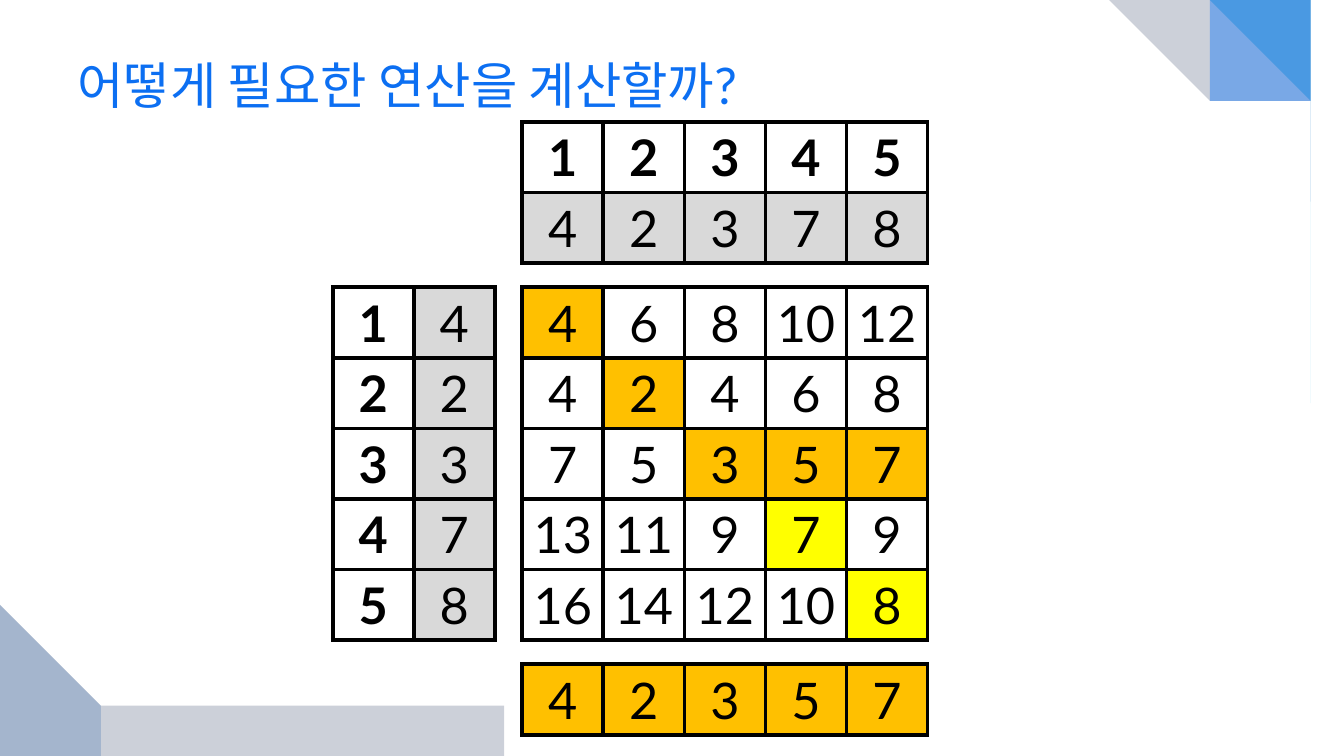
from lxml import etree
from pptx import Presentation
from pptx.dml.color import RGBColor
from pptx.enum.text import MSO_ANCHOR, PP_ALIGN
from pptx.oxml.ns import qn
from pptx.util import Inches, Pt

CENTER, MIDDLE = PP_ALIGN.CENTER, MSO_ANCHOR.MIDDLE
FONT = "Lato"
TITLE = "어떻게 필요한 연산을 계산할까?"
COLUMN_WIDTH, ROW_HEIGHT = 0.804, 0.7

STYLES = {
    "i": ("FFFFFF", True),
    "g": ("D9D9D9", False),
    "w": ("FFFFFF", False),
    "o": ("FFC000", False),
    "y": ("FFFF00", False),
}

INDEX = [1, 2, 3, 4, 5]
VALUES = [4, 2, 3, 7, 8]
COSTS = [
    [4, 6, 8, 10, 12],
    [4, 2, 4, 6, 8],
    [7, 5, 3, 5, 7],
    [13, 11, 9, 7, 9],
    [16, 14, 12, 10, 8],
]
MINIMUMS = [4, 2, 3, 5, 7]

TABLES = [
    (3.3, 2.85, list(zip(INDEX, VALUES)), ["ig"] * 5),
    (5.18, 1.21, [INDEX, VALUES], ["iiiii", "ggggg"]),
    (5.18, 2.85, COSTS, ["owwww", "wowww", "wwooo", "wwwyw", "wwwwy"]),
    (5.18, 6.59, [MINIMUMS], ["ooooo"]),
]

WAVES = [
    ("00B1E9", 45, [
        (13.33, 4.08), (13.33, 0), (11.89, 0), (11.98, 0.05), (12.1, 0.14),
        (12.2, 0.23), (12.31, 0.35), (12.43, 0.5), (12.53, 0.64),
        (12.63, 0.81), (12.72, 1), (12.82, 1.21), (12.91, 1.46),
        (13, 1.73), (13.08, 2.03), (13.15, 2.37), (13.21, 2.74),
        (13.27, 3.15), (13.31, 3.6)]),
    ("021741", 20, [
        (8.89, 0), (13.33, 0), (13.33, 2.15), (13.28, 2.02), (13.19, 1.84),
        (13.09, 1.69), (12.96, 1.52), (12.83, 1.38), (12.69, 1.24),
        (12.52, 1.1), (12.32, 0.95), (12.1, 0.81), (11.84, 0.67),
        (11.55, 0.54), (11.23, 0.42), (10.88, 0.3), (10.49, 0.2),
        (10.06, 0.12), (9.58, 0.06), (9.25, 0.02)]),
    ("247FF4", 49, [
        (8.89, 0), (13.33, 0), (13.33, 1.55), (13.28, 1.46), (13.19, 1.33),
        (13.09, 1.22), (12.96, 1.1), (12.84, 1), (12.69, 0.9),
        (12.52, 0.79), (12.32, 0.69), (12.1, 0.59), (11.85, 0.49),
        (11.56, 0.39), (11.24, 0.3), (10.88, 0.22), (10.49, 0.15),
        (10.06, 0.09), (9.59, 0.04), (9.25, 0.02)]),
    ("021741", 20, [
        (5, 7.5), (0, 7.5), (0, 6.08), (0.06, 6.16), (0.16, 6.28),
        (0.27, 6.38), (0.42, 6.49), (0.56, 6.58), (0.72, 6.68),
        (0.91, 6.77), (1.14, 6.87), (1.39, 6.96), (1.68, 7.05),
        (2, 7.14), (2.36, 7.22), (2.76, 7.3), (3.2, 7.36),
        (3.69, 7.42), (4.22, 7.46), (4.6, 7.48)]),
    ("084AA1", 20, [
        (0, 4.58), (0, 7.5), (1.48, 7.5), (1.39, 7.47), (1.26, 7.41),
        (1.16, 7.34), (1.04, 7.25), (0.92, 7.14), (0.82, 7.04),
        (0.72, 6.93), (0.62, 6.79), (0.52, 6.64), (0.43, 6.46),
        (0.34, 6.27), (0.26, 6.05), (0.19, 5.81), (0.12, 5.54),
        (0.07, 5.25), (0.03, 4.93), (0.01, 4.7)]),
]


def paint(fill, color):
    fill.solid()
    fill.fore_color.rgb = RGBColor.from_string(color)


def add_text(tf, text, color, bold=False, align=None):
    p = tf.paragraphs[0]
    p.alignment = align
    r = p.add_run()
    r.text = text
    r.font.name, r.font.size, r.font.bold = FONT, Pt(36), bold
    paint(r.font.fill, color)


def add_wave(s, color, opacity, points):
    builder = s.shapes.build_freeform(*points[0], scale=Inches(1))
    builder.add_line_segments(points[1:], close=True)
    sp = builder.convert_to_shape()
    sp.shadow.inherit = False
    sp.line.fill.background()
    paint(sp.fill, color)
    clr = sp.fill._xPr.find(qn("a:solidFill"))[0]
    etree.SubElement(clr, qn("a:alpha")).set("val", str(opacity * 1000))


def add_borders(cell):
    tc_pr = cell._tc.get_or_add_tcPr()
    for side in "LRTB":
        ln = etree.SubElement(tc_pr, qn("a:ln" + side), w=str(Pt(3)))
        fill = etree.SubElement(ln, qn("a:solidFill"))
        etree.SubElement(fill, qn("a:srgbClr"), val="000000")


def add_grid(s, left, top, rows, styles):
    n_rows, n_cols = len(rows), len(rows[0])
    table = s.shapes.add_table(
        n_rows, n_cols, Inches(left), Inches(top),
        Inches(n_cols * COLUMN_WIDTH), Inches(n_rows * ROW_HEIGHT)).table
    table.first_row = table.horz_banding = False
    for i, row in enumerate(rows):
        for j, value in enumerate(row):
            cell = table.cell(i, j)
            color, bold = STYLES[styles[i][j]]
            cell.margin_left = cell.margin_right = 0
            cell.margin_top = cell.margin_bottom = Inches(0.04)
            cell.vertical_anchor = MIDDLE
            add_borders(cell)
            paint(cell.fill, color)
            add_text(cell.text_frame, str(value), "000000", bold, CENTER)


def main():
    prs = Presentation()
    prs.slide_width, prs.slide_height = Inches(13.33), Inches(7.5)
    s = prs.slides.add_slide(prs.slide_layouts[6])
    paint(s.background.fill, "FFFFFF")
    for wave in WAVES:
        add_wave(s, *wave)
    tf = s.shapes.add_textbox(
        Inches(0.67), Inches(0.33), Inches(12), Inches(1.01)).text_frame
    tf.word_wrap = True
    tf.vertical_anchor = MIDDLE
    add_text(tf, TITLE, "0C6FF2")
    for grid in TABLES:
        add_grid(s, *grid)
    prs.save("out.pptx")


if __name__ == "__main__":
    main()
